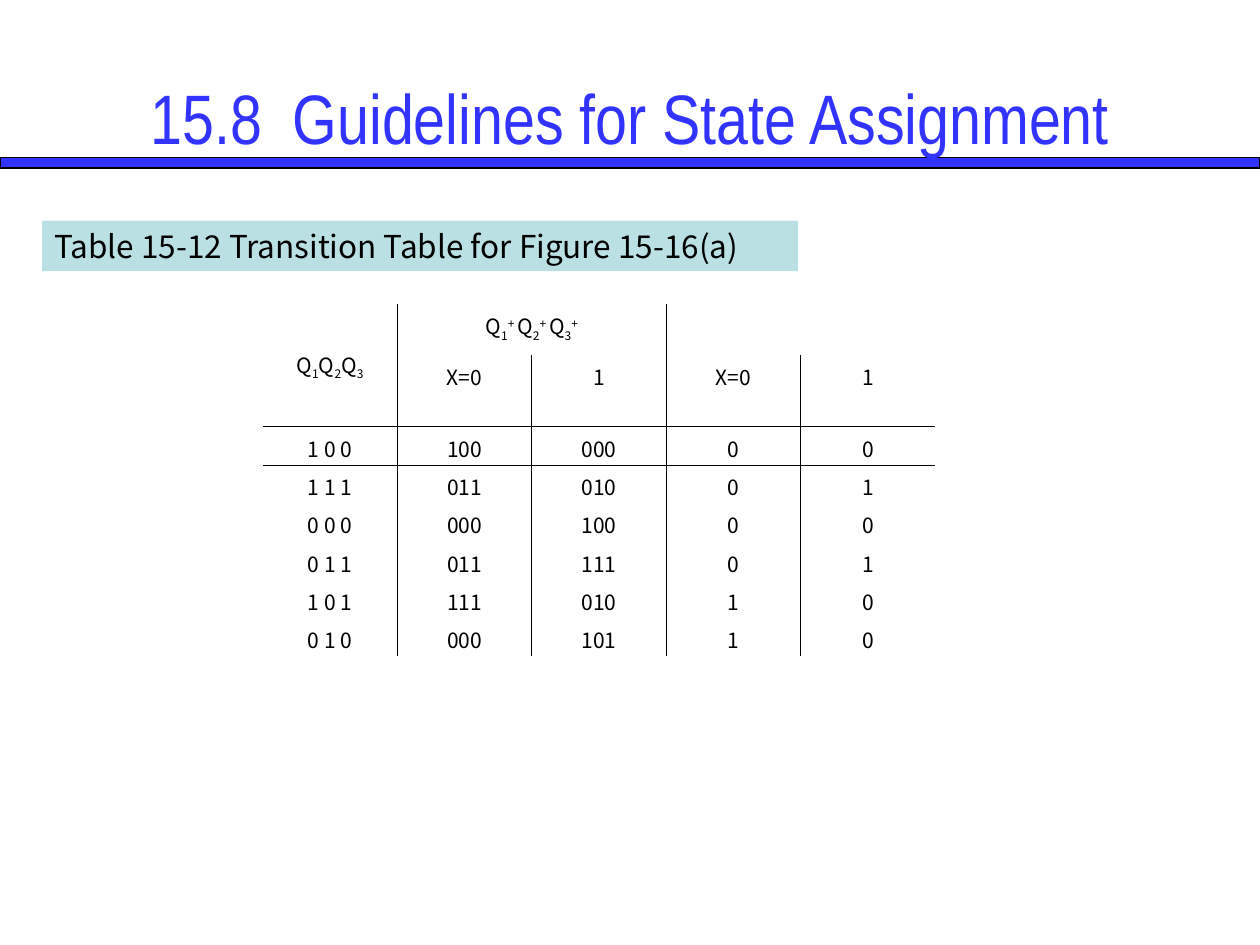
from lxml.etree import SubElement
from pptx import Presentation
from pptx.dml.color import RGBColor
from pptx.enum.shapes import MSO_SHAPE
from pptx.enum.text import MSO_ANCHOR, PP_ALIGN
from pptx.oxml.ns import qn
from pptx.util import Cm, Pt

COLORS = {"blue": "3333FF", "black": "000000", "aqua": "BBE0E3"}
TITLE_FONT = "Arial Narrow"
BODY_FONT = "Noto Sans CJK KR"
NO_GRID_STYLE = "{2D5ABB26-0587-4C30-8999-92F81FD0307C}"
SUB, SUPER = -25000, 30000

STATE = [(t, b) for n in "123" for t, b in (("Q", 0), (n, SUB))]
NEXT_STATE = [(t, b) for n, plus in (("1", "+ "), ("2", "+ "), ("3", "+"))
              for t, b in (("Q", 0), (n, SUB), (plus, SUPER))]
ROWS = [
    [STATE, NEXT_STATE, "", "", ""],
    ["", "X=0", "1", "X=0", "1"],
    ["1 0 0", "100", "000", "0", "0"],
    ["1 1 1", "011", "010", "0", "1"],
    ["0 0 0", "000", "100", "0", "0"],
    ["0 1 1", "011", "111", "0", "1"],
    ["1 0 1", "111", "010", "1", "0"],
    ["0 1 0", "000", "101", "1", "0"],
]
ROW_HEIGHTS = [1.02, 1.45] + [0.77] * 6
COLUMN_WIDTH = 2.71


def rgb(name):
    return RGBColor.from_string(COLORS[name])


def format_paragraph(p, font, size, color, align):
    p.alignment = align
    for r in p.runs:
        r.font.name = font
        r.font.size = Pt(size)
        r.font.color.rgb = rgb(color)
        SubElement(r._r.get_or_add_rPr(), qn("a:ea")).set("typeface", font)


def add_tabs(p, count):
    tabs = SubElement(p._p.get_or_add_pPr(), qn("a:tabLst"))
    for i in range(count):
        SubElement(tabs, qn("a:tab"), pos=str(Cm(2.54 * i)), algn="l")


def add_bar(s, left, top, width, height, fill, line=None):
    sp = s.shapes.add_shape(MSO_SHAPE.RECTANGLE, Cm(left), Cm(top), Cm(width), Cm(height))
    sp.shadow.inherit = False
    sp.fill.solid()
    sp.fill.fore_color.rgb = rgb(fill)
    if line:
        sp.line.color.rgb = rgb(line)
        sp.line.width = Pt(0.75)
    else:
        sp.line.fill.background()
    return sp


def add_title(s, text):
    tf = s.shapes.add_textbox(Cm(1.27), Cm(0.76), Cm(22.86), Cm(3.18)).text_frame
    tf.word_wrap = True
    tf.vertical_anchor = MSO_ANCHOR.MIDDLE
    tf.text = text
    p = tf.paragraphs[0]
    add_tabs(p, 8)
    format_paragraph(p, TITLE_FONT, 40, "blue", PP_ALIGN.CENTER)


def add_caption(s, text):
    tf = add_bar(s, 0.85, 4.45, 15.24, 1.02, "aqua").text_frame
    tf.word_wrap = True
    tf.vertical_anchor = MSO_ANCHOR.MIDDLE
    tf.text = text
    format_paragraph(tf.paragraphs[0], BODY_FONT, 18, "black", PP_ALIGN.LEFT)


def add_border(cell, side):
    ln = SubElement(cell._tc.get_or_add_tcPr(), qn(f"a:ln{side}"), w=str(Pt(0.45)))
    fill = SubElement(ln, qn("a:solidFill"))
    SubElement(fill, qn("a:srgbClr"), val=COLORS["black"])


def fill_cell(cell, content):
    p = cell.text_frame.paragraphs[0]
    if isinstance(content, str):
        p.text = content
    else:
        for text, baseline in content:
            r = p.add_run()
            r.text = text
            if baseline:
                r._r.get_or_add_rPr().set("baseline", str(baseline))
    format_paragraph(p, BODY_FONT, 12, "black", PP_ALIGN.CENTER)
    cell.fill.background()


def add_transition_table(s):
    columns = len(ROWS[0])
    frame = s.shapes.add_table(len(ROWS), columns, Cm(5.3), Cm(6.13),
                               Cm(COLUMN_WIDTH * columns), Cm(sum(ROW_HEIGHTS)))
    table = frame.table
    table.first_row = table.horz_banding = False
    table._tbl.tblPr.find(qn("a:tableStyleId")).text = NO_GRID_STYLE
    for column in table.columns:
        column.width = Cm(COLUMN_WIDTH)
    for row, height in zip(table.rows, ROW_HEIGHTS):
        row.height = Cm(height)
    table.cell(0, 0).merge(table.cell(1, 0))
    table.cell(0, 1).merge(table.cell(0, 2))
    for i, contents in enumerate(ROWS):
        for j, content in enumerate(contents):
            cell = table.cell(i, j)
            cell.margin_top = cell.margin_bottom = Cm(0.13)
            if j in (1, 3):
                add_border(cell, "L")
            if j in (0, 2) or (i, j) == (0, 1):
                add_border(cell, "R")
            if i == 2:
                add_border(cell, "T")
            if i == 1 or (i, j) == (0, 0):
                add_border(cell, "B")
            fill_cell(cell, content)
    table.cell(0, 0).vertical_anchor = MSO_ANCHOR.MIDDLE


def main():
    prs = Presentation()
    prs.slide_width, prs.slide_height = Cm(25.4), Cm(19.05)
    s = prs.slides.add_slide(prs.slide_layouts[6])
    add_bar(s, 0, 3.18, 25.4, 0.21, "blue", "black")
    add_title(s, "15.8\t Guidelines for State Assignment")
    add_caption(s, "Table 15-12 Transition Table for Figure 15-16(a)")
    add_transition_table(s)
    prs.save("out.pptx")


if __name__ == "__main__":
    main()
